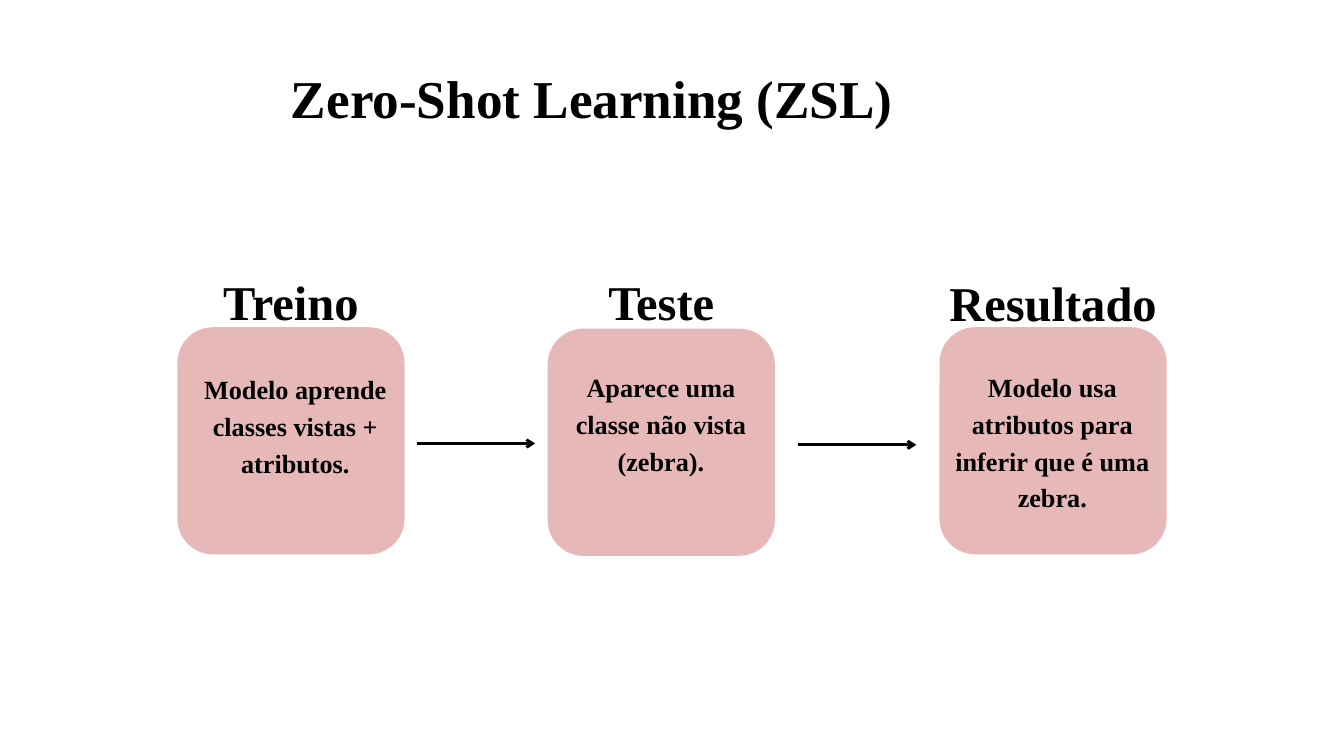
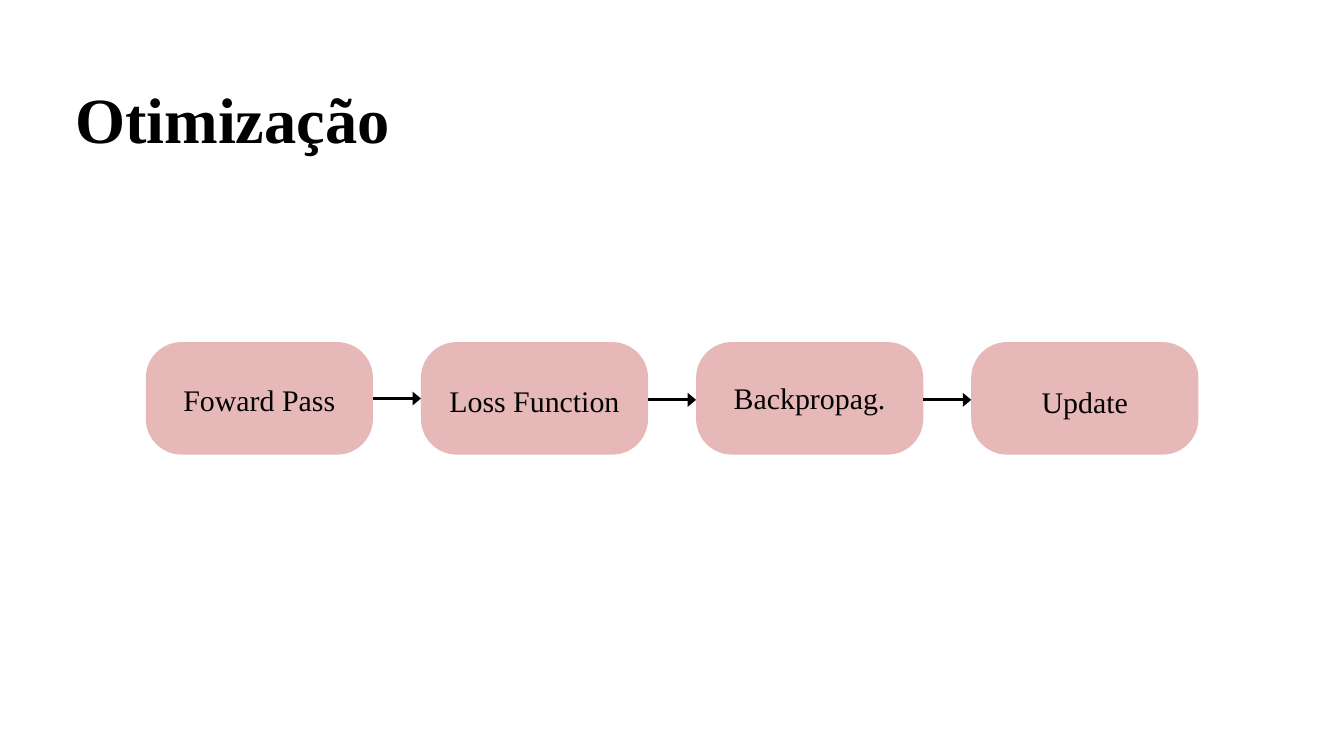
from lxml import etree
from pptx import Presentation
from pptx.dml.color import RGBColor
from pptx.enum.shapes import MSO_CONNECTOR, MSO_SHAPE
from pptx.enum.text import PP_ALIGN
from pptx.oxml.ns import qn
from pptx.util import Pt

LEFT, CENTER = PP_ALIGN.LEFT, PP_ALIGN.CENTER
ROUNDED = MSO_SHAPE.ROUNDED_RECTANGLE
STRAIGHT = MSO_CONNECTOR.STRAIGHT

COLORS = {"paper": "FFFFFF", "ink": "000000", "card": "E7B8B8"}
FONT = "Times New Roman"
CARD_WIDTH = 243.4
CARD_RADIUS = 38.4
LINE_FACTOR = 1.4


def color(name):
    return RGBColor.from_string(COLORS[name])


class Deck:
    """Holds the shared style and the slide being drawn."""

    def __init__(self, width, height):
        self.prs = Presentation()
        self.prs.slide_width, self.prs.slide_height = Pt(width), Pt(height)
        self.slide = None

    def new_slide(self):
        self.slide = self.prs.slides.add_slide(self.prs.slide_layouts[6])
        background = self.slide.background.fill
        background.solid()
        background.fore_color.rgb = color("paper")

    def text(self, words, left, top, width, height, size, bold=True, align=CENTER):
        box = self.slide.shapes.add_textbox(Pt(left), Pt(top), Pt(width), Pt(height))
        frame = box.text_frame
        frame_format = {"margin_left": 0, "margin_top": 0, "margin_right": 0,
                        "margin_bottom": 0, "word_wrap": True}
        for key, value in frame_format.items():
            setattr(frame, key, value)
        paragraph = frame.paragraphs[0]
        paragraph.alignment = align
        paragraph.line_spacing = Pt(round(size * LINE_FACTOR, 1))
        run = paragraph.add_run()
        run.text = words
        font_format = {"name": FONT, "size": Pt(size), "bold": bold}
        for key, value in font_format.items():
            setattr(run.font, key, value)
        run.font.color.rgb = color("ink")

    def centered_text(self, words, middle, top, width, height, size, bold=True):
        self.text(words, middle - width / 2, top, width, height, size, bold)

    def title(self, words, left, top, width, height, size):
        self.text(words, left, top, width, height, size, align=LEFT)

    def card(self, left, top, height):
        card = self.slide.shapes.add_shape(
            ROUNDED, Pt(left), Pt(top), Pt(CARD_WIDTH), Pt(height))
        card.adjustments[0] = CARD_RADIUS / min(CARD_WIDTH, height)
        card.shadow.inherit = False
        card.fill.solid()
        card.fill.fore_color.rgb = color("card")
        card.line.fill.background()

    def arrow(self, start, end, y, head, head_width="med"):
        arrow = self.slide.shapes.add_connector(
            STRAIGHT, Pt(start), Pt(y), Pt(end), Pt(y))
        arrow.line.width = Pt(3)
        arrow.line.color.rgb = color("ink")
        etree.SubElement(arrow.line._get_or_add_ln(), qn("a:tailEnd"),
                         type=head, w=head_width, len="med")
        etree.SubElement(arrow._element.spPr, qn("a:effectLst"))


def zero_shot_slide(deck):
    deck.new_slide()
    deck.title("Zero-Shot Learning (ZSL)", 311.8, 58.3, 816.5, 76.3, 57)
    # heading, its width and top, card left and top, body, its left, top and width
    stages = [
        ("Treino", 188, 280.8, 190, 350.6,
         "Modelo aprende classes vistas + atributos.", 217.4, 394.6, 198),
        ("Teste", 144, 280.8, 586.8, 352.1,
         "Aparece uma classe não vista (zebra).", 614.9, 392.4, 186.5),
        ("Resultado", 272, 282.2, 1006.6, 350.6,
         "Modelo usa atributos para inferir que é uma zebra.", 1012.3, 392.4, 230.4),
    ]
    for (heading, heading_width, heading_top, left, top,
         body, body_left, body_top, body_width) in stages:
        deck.card(left, top, CARD_WIDTH)
        deck.centered_text(heading, left + CARD_WIDTH / 2, heading_top,
                           heading_width, 69.8, 52)
        deck.text(body, body_left, body_top, body_width, 154.8, 28.1)
    for start, y in [(446.4, 475.2), (854.8, 476.6)]:
        deck.arrow(start, start + 127, y, "arrow")


def optimization_slide(deck):
    deck.new_slide()
    deck.title("Otimização", 80.6, 70.6, 472.3, 92.9, 69)
    first_left, pitch = 156.2, 294.8
    # step, width and top of its label
    steps = [("Foward Pass", 199.4, 402.5), ("Loss Function", 230.4, 403.9),
             ("Backpropag.", 203.8, 400.3), ("Update", 118.1, 404.6)]
    arrow_heights = [427, 428.4, 428.4]
    for i, (step, label_width, label_top) in enumerate(steps):
        left = first_left + i * pitch
        deck.card(left, 366.5, 120.6)
        deck.centered_text(step, left + CARD_WIDTH / 2, label_top,
                           label_width, 42.5, 32, bold=False)
    for i, y in enumerate(arrow_heights):
        left = first_left + i * pitch
        deck.arrow(left + CARD_WIDTH, left + pitch, y, "triangle", "lg")


def main():
    deck = Deck(1440, 810)
    zero_shot_slide(deck)
    optimization_slide(deck)
    deck.prs.save("out.pptx")


if __name__ == "__main__":
    main()
